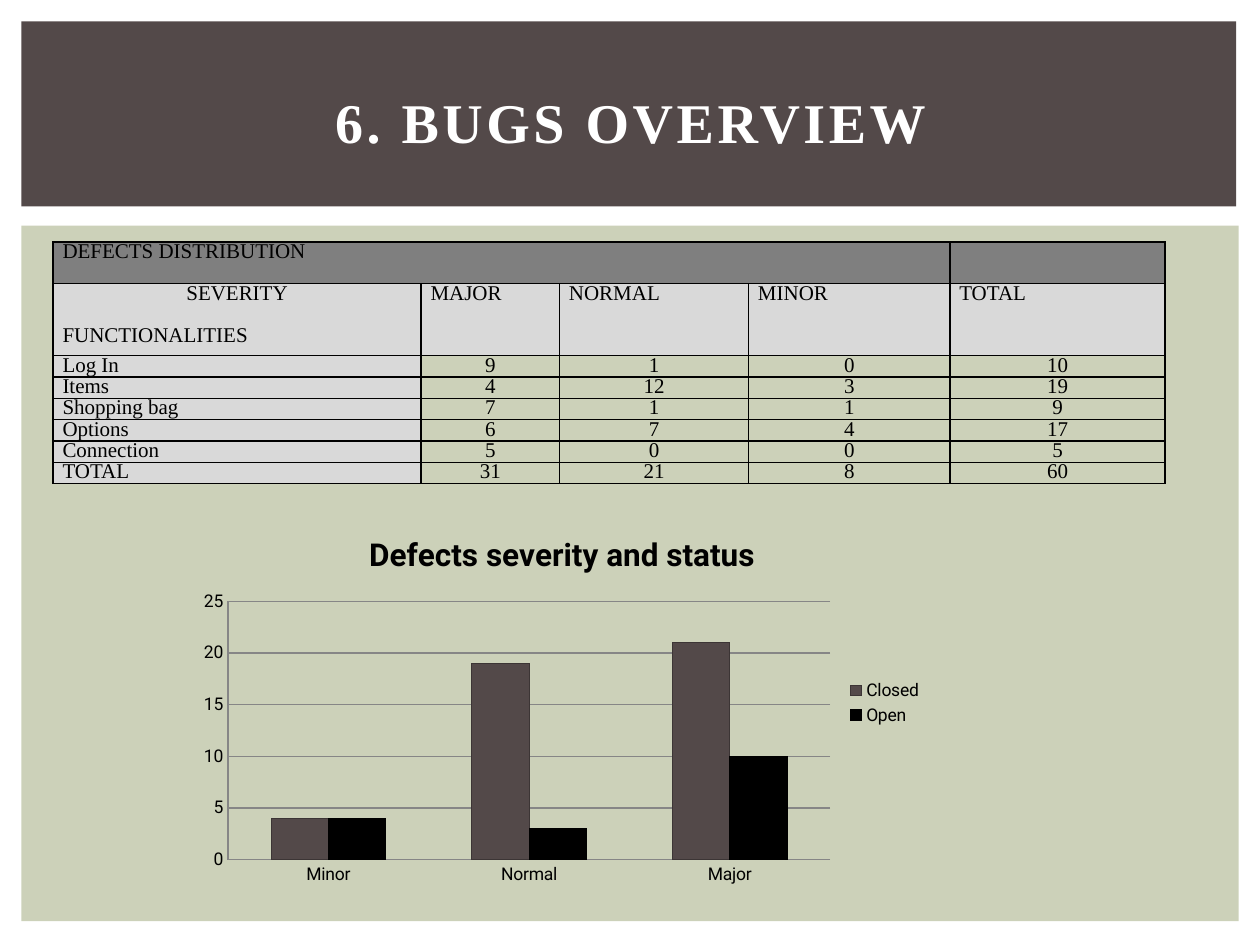
from lxml.etree import SubElement
from pptx import Presentation
from pptx.chart.data import CategoryChartData as ChartData
from pptx.dml.color import RGBColor
from pptx.enum.chart import XL_CHART_TYPE as ChartType
from pptx.enum.chart import XL_LEGEND_POSITION as LegendPosition
from pptx.enum.chart import XL_TICK_MARK as TickMark
from pptx.enum.shapes import MSO_SHAPE as Shape
from pptx.enum.text import MSO_ANCHOR as Anchor
from pptx.enum.text import PP_ALIGN as Align
from pptx.oxml.ns import qn
from pptx.util import Cm, Pt

BROWN, BLACK, GRID = "534949", "000000", "868686"
SERIF, SANS = "Times New Roman", "Roboto"


def paint(fill, color):
    fill.solid()
    fill.fore_color.rgb = RGBColor.from_string(color)


def style(font, color=BLACK, **values):
    for attribute, value in values.items():
        setattr(font, attribute, value)
    paint(font.fill, color)


deck = Presentation()
deck.slide_width, deck.slide_height = Cm(25.4), Cm(19.05)
slide = deck.slides.add_slide(deck.slide_layouts[5])

# Background bands
for left, top, width, height, color in (
    (0.43, 4.55, 24.54, 14.02, "CCD1B9"),
    (0.43, 0.43, 24.49, 3.73, BROWN),
):
    band = slide.shapes.add_shape(Shape.RECTANGLE, Cm(left), Cm(top), Cm(width), Cm(height))
    paint(band.fill, color)
    band.line.fill.background()
    band.shadow.inherit = False

# Heading, brought in front of the bands
heading = slide.shapes.title
slide.shapes.element.append(heading.element)
heading.left, heading.top, heading.width, heading.height = Cm(1.07), Cm(0.99), Cm(23.29), Cm(2.92)
heading.text_frame.text = "6. BUGS OVERVIEW"
heading.text_frame.vertical_anchor = Anchor.MIDDLE
heading_line = heading.text_frame.paragraphs[0]
heading_line.alignment = Align.CENTER
style(heading_line.runs[0].font, "FFFFFF", name=SERIF, size=Pt(32), bold=True)
heading_line.runs[0].font.fill  # spacing goes on the same run properties
heading_line.runs[0].font._element.set("spc", "200")

# Defects by functionality and severity
defects = [
    ("DEFECTS DISTRIBUTION", "", "", "", ""),
    ("SEVERITY\nFUNCTIONALITIES", "MAJOR", "NORMAL", "MINOR", "TOTAL"),
    ("Log In", 9, 1, 0, 10),
    ("Items", 4, 12, 3, 19),
    ("Shopping bag", 7, 1, 1, 9),
    ("Options", 6, 7, 4, 17),
    ("Connection", 5, 0, 0, 5),
    ("TOTAL", 31, 21, 8, 60),
]
column_widths = (7.42, 2.79, 3.81, 4.06, 4.34)
row_heights = [0.84, 1.45] + [0.43] * 6
table = slide.shapes.add_table(
    len(defects), len(column_widths), Cm(1.07), Cm(4.88), Cm(sum(column_widths)), Cm(sum(row_heights))
).table
table.horz_banding = table.first_row = False
for column, width in zip(table.columns, column_widths):
    column.width = Cm(width)
for row, height in zip(table.rows, row_heights):
    row.height = Cm(height)

cell_format = {"margin_left": Cm(0.19), "margin_right": Cm(0.19), "margin_top": 0, "margin_bottom": 0}
for r, values in enumerate(defects):
    for c, value in enumerate(values):
        cell = table.cell(r, c)
        cell.text = str(value)
        for attribute, setting in cell_format.items():
            setattr(cell, attribute, setting)
        for paragraph in cell.text_frame.paragraphs:
            paragraph.line_spacing = Pt(12)
            paragraph.alignment = Align.CENTER if r > 1 and c > 0 else Align.LEFT
            for run in paragraph.runs:
                style(run.font, name=SERIF, size=Pt(12))
        properties = cell._tc.get_or_add_tcPr()
        for side in ("a:lnL", "a:lnR", "a:lnT", "a:lnB"):
            border = SubElement(properties, qn(side), w=str(Pt(1)))
            SubElement(SubElement(border, qn("a:solidFill")), qn("a:srgbClr"), val=BLACK)
        if r == 0:
            paint(cell.fill, "7F7F7F")
        elif r == 1 or c == 0:
            paint(cell.fill, "D9D9D9")
        else:
            cell.fill.background()
table.cell(0, 0).merge(table.cell(0, 3))
severity, functionalities = table.cell(1, 0).text_frame.paragraphs
severity.alignment = Align.CENTER
functionalities.space_before = Pt(12)

# Defects by severity and status
status = ChartData()
status.categories = ["Minor", "Normal", "Major"]
status.add_series("Closed", (4, 19, 21))
status.add_series("Open", (4, 3, 10))
chart = slide.shapes.add_chart(
    ChartType.COLUMN_CLUSTERED, Cm(3.81), Cm(10.36), Cm(15.04), Cm(7.62), status
).chart
style(chart.font, name=SANS, size=Pt(10))
chart.has_title = True
chart.chart_title.include_in_layout = False
chart.chart_title.text_frame.text = "Defects severity and status"
style(chart.chart_title.text_frame.paragraphs[0].runs[0].font, name=SANS, size=Pt(18), bold=True)
chart.has_legend = True
chart.legend.position = LegendPosition.RIGHT
chart.legend.include_in_layout = False

for axis in (chart.category_axis, chart.value_axis):
    axis.major_tick_mark = axis.minor_tick_mark = TickMark.NONE
    paint(axis.format.line.fill, GRID)
chart.value_axis.minimum_scale, chart.value_axis.maximum_scale = 0, 25
chart.value_axis.major_unit = 5
gridlines = chart.value_axis.major_gridlines.format.line
paint(gridlines.fill, GRID)
gridlines.width = Pt(0.75)

plot = chart.plots[0]
plot.gap_width, plot.overlap, plot.vary_by_categories = 150, 0, False
for series, color, outline in zip(plot.series, (BROWN, BLACK), ("3C3535", BLACK)):
    paint(series.format.fill, color)
    paint(series.format.line.fill, outline)

deck.save("out.pptx")
